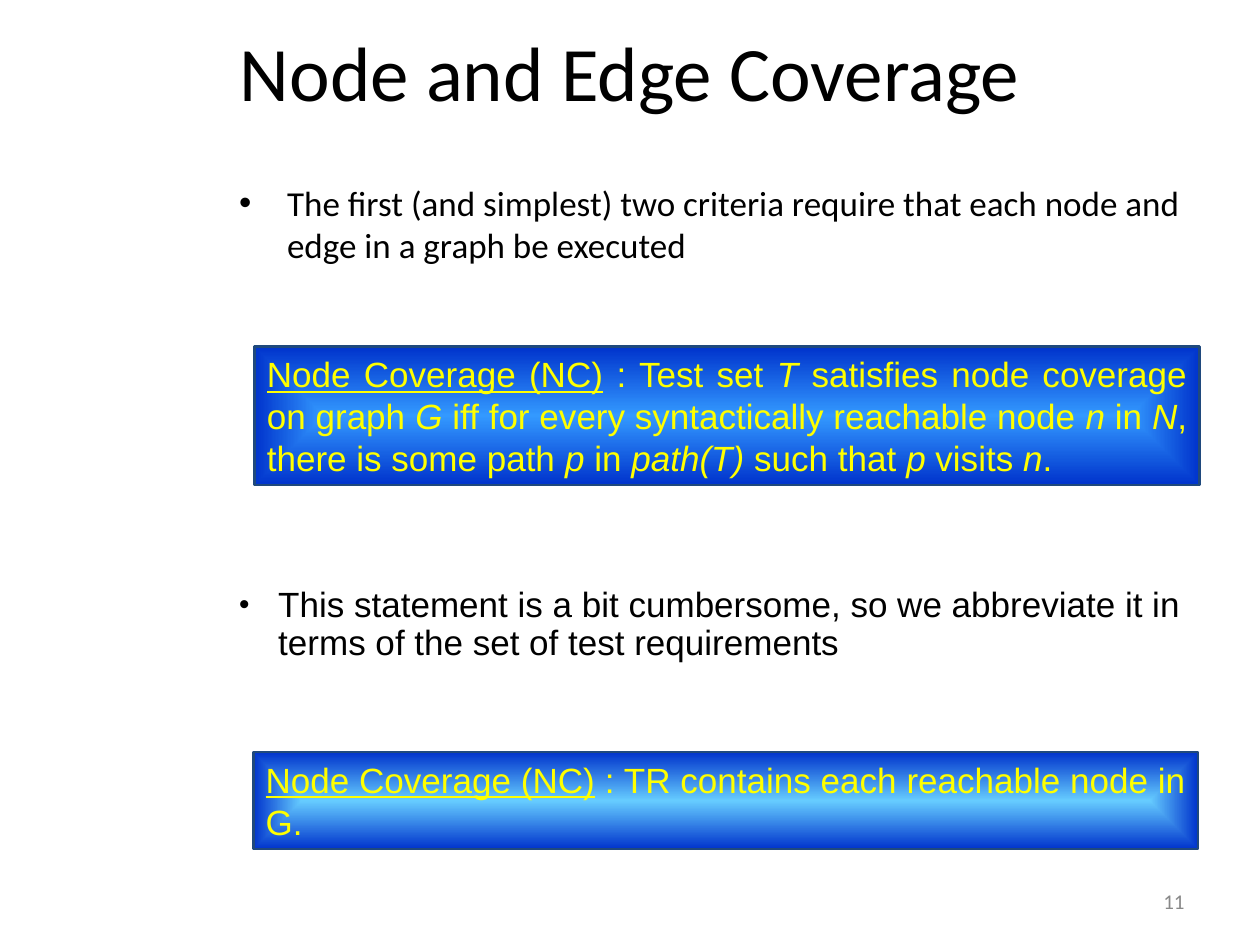
from lxml import etree
from pptx import Presentation
from pptx import util as u
from pptx.dml.color import RGBColor
from pptx.enum import shapes, text
from pptx.oxml.ns import qn

WIDE, HIGH = 10, 7.5
LEFT, SPAN = 1.8, 8.05      # column of the bullets
NC = "Node Coverage (NC)"


def color(code):
    return RGBColor.from_string(code)


def place(*sides):
    return [u.Inches(side) for side in sides]


def style(font, name, size, code):
    font.name, font.size = name, u.Pt(size)
    font.color.rgb = color(code)


def add_title(slide, words):
    title = slide.shapes.title
    title.left, title.top, title.width, title.height = place(0.75, 0.11, 8.5, 0.9)
    frame = title.text_frame
    frame.text = words
    frame.auto_size = text.MSO_AUTO_SIZE.NONE
    frame.vertical_anchor = text.MSO_ANCHOR.MIDDLE
    para = frame.paragraphs[0]
    para.alignment = text.PP_ALIGN.CENTER
    style(para.font, "Calibri", 44, "000000")


def add_text(slide, area, words):
    frame = slide.shapes.add_textbox(*place(*area)).text_frame
    frame.word_wrap = True
    frame.text = words
    return frame


def add_bullet(slide, top, words, name, indent, scale=100, spacing=1.0):
    para = add_text(slide, (LEFT, top, SPAN, 0.84), words).paragraphs[0]
    props = para._p.get_or_add_pPr()
    props.set("marL", str(u.Inches(indent)))
    props.set("indent", str(-u.Inches(indent)))
    etree.SubElement(props, qn("a:buSzPct"), val=str(scale * 1000))
    etree.SubElement(props, qn("a:buFont"), typeface="Arial")
    etree.SubElement(props, qn("a:buChar"), char="•")
    para.line_spacing = spacing
    style(para.font, name, 20, "000000")


def fill_glow(shape, inner, outer):
    """Fill with a gradient that runs from the centre to the edges."""
    shape.fill.gradient()
    for stop, code, spot in zip(shape.fill.gradient_stops, (inner, outer), (0, 1)):
        stop.color.rgb, stop.position = color(code), spot
    grad = shape._element.spPr.find(qn("a:gradFill"))
    line = grad.find(qn("a:lin"))
    glow = etree.Element(qn("a:path"), path="rect")
    etree.SubElement(glow, qn("a:fillToRect"),
                     {side: "50000" for side in "ltrb"})
    grad.replace(line, glow)


def add_rule(slide, area, inner, words):
    """Add a definition box; words between asterisks are italic."""
    box = slide.shapes.add_shape(shapes.MSO_SHAPE.RECTANGLE, *place(*area))
    box.shadow.inherit = False
    fill_glow(box, inner, "0033CC")
    box.line.color.rgb, box.line.width = color("1F497D"), u.Pt(1.5)
    frame = box.text_frame
    frame.word_wrap = True
    frame.auto_size = text.MSO_AUTO_SIZE.SHAPE_TO_FIT_TEXT
    frame.vertical_anchor = text.MSO_ANCHOR.TOP
    para = frame.paragraphs[0]
    para.alignment = text.PP_ALIGN.JUSTIFY
    style(para.font, "Arial", 20, "FFFF00")
    head = para.add_run()
    head.text, head.font.underline = NC, True
    for place_no, part in enumerate(words.split("*")):
        run = para.add_run()
        run.text = part
        if place_no % 2:
            run.font.italic = True


def add_number(slide, words):
    frame = add_text(slide, (7.17, 6.95, 2.33, 0.4), words)
    frame.vertical_anchor = text.MSO_ANCHOR.MIDDLE
    para = frame.paragraphs[0]
    para.alignment = text.PP_ALIGN.RIGHT
    style(para.font, "Calibri", 12, "898989")


def main():
    deck = Presentation()
    deck.slide_width, deck.slide_height = place(WIDE, HIGH)
    slide = deck.slides.add_slide(deck.slide_layouts[5])
    add_title(slide, "Node and Edge Coverage")
    add_bullet(slide, 1.39, "The first (and simplest) two criteria require that "
               "each node and edge in a graph be executed", "Calibri", 0.38)
    add_rule(slide, (2.02, 2.75, 7.5, 1.1), "3399FF",
             " : Test set *T* satisfies node coverage on graph *G* iff for every "
             "syntactically reachable node *n* in *N*, there is some path *p* in "
             "*path(T)* such that *p* visits *n*.")
    add_bullet(slide, 4.61, "This statement is a bit cumbersome, so we abbreviate "
               "it in terms of the set of test requirements", "Arial", 0.31, 85, 0.9)
    add_rule(slide, (2.01, 5.97, 7.5, 0.77), "66CCFF",
             " : TR contains each reachable node in G.")
    add_number(slide, "11")
    deck.save("out.pptx")


if __name__ == "__main__":
    main()
